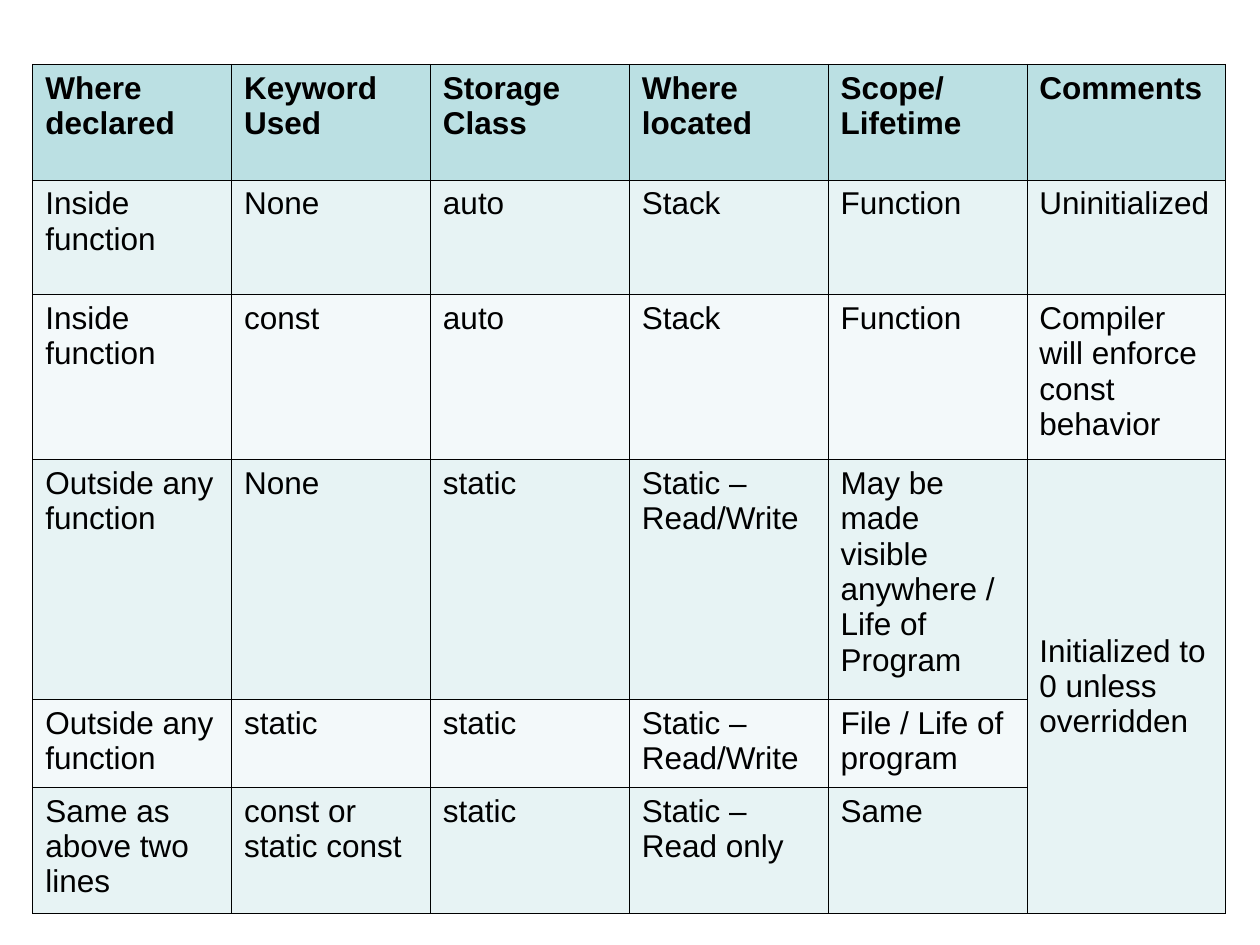
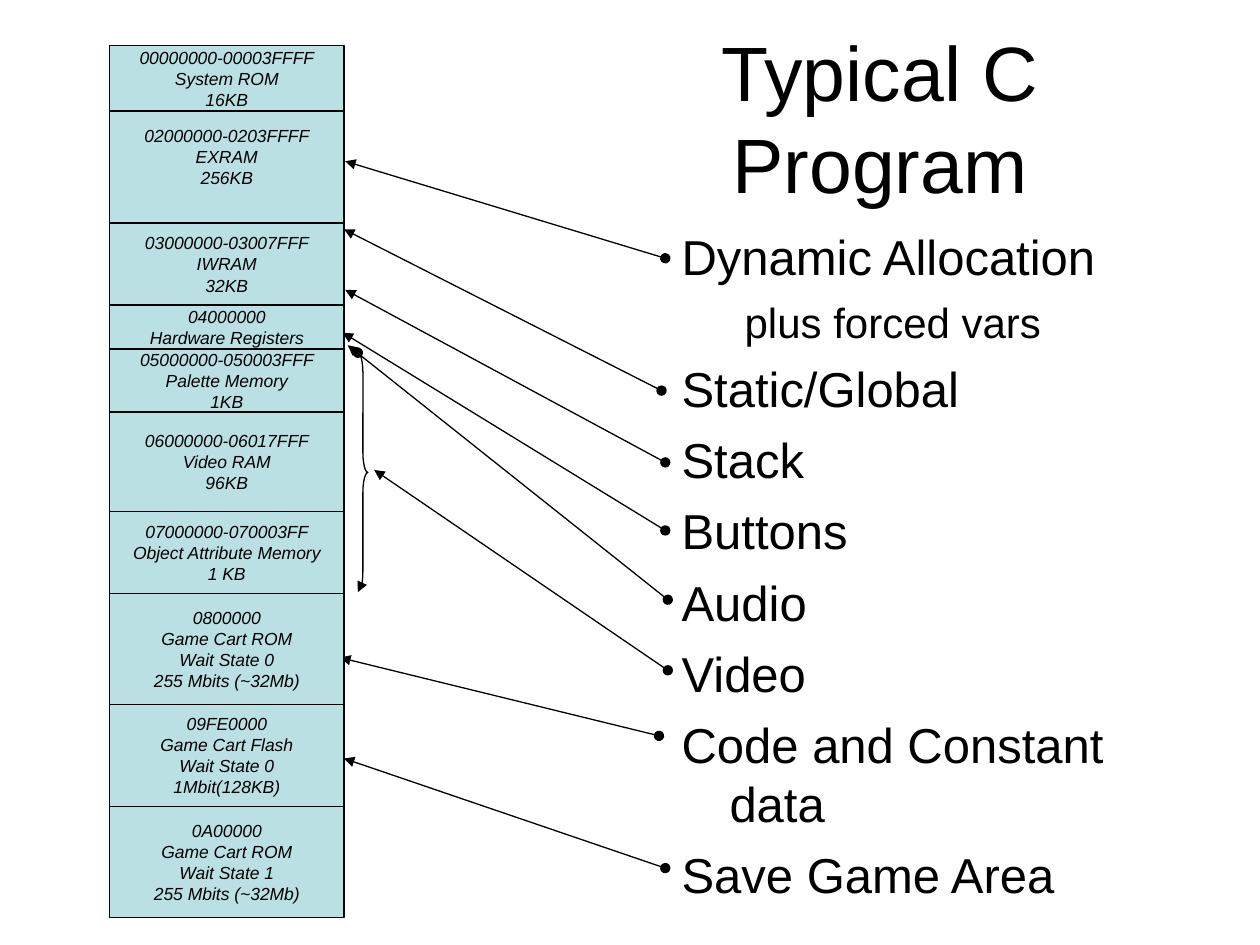
from dataclasses import dataclass

from lxml import etree
from pptx import Presentation
from pptx.dml.color import RGBColor
from pptx.enum.shapes import MSO_CONNECTOR as Connector, MSO_SHAPE as Shape
from pptx.enum.text import MSO_ANCHOR as Anchor, MSO_AUTO_SIZE as AutoSize, PP_ALIGN as Align
from pptx.oxml.ns import qn
from pptx.util import Inches, Pt


@dataclass(frozen=True)
class Theme:
    font: str = "Arial"
    ink: RGBColor = RGBColor(0x00, 0x00, 0x00)
    teal: RGBColor = RGBColor(0xBB, 0xE0, 0xE3)
    band_dark: RGBColor = RGBColor(0xE7, 0xF3, 0xF4)
    band_light: RGBColor = RGBColor(0xF3, 0xF9, 0xFA)
    title_size: int = 44
    item_size: int = 28
    subitem_size: int = 24
    table_size: int = 18
    block_size: int = 10
    line_width: float = 0.75
    border_width: float = 0.45


theme = Theme()


def style_paragraph(paragraph, size, align=Align.LEFT, bold=False, italic=False):
    paragraph.alignment = align
    paragraph.line_spacing = 1.0
    for run in paragraph.runs:
        run.font.name = theme.font
        run.font.size = Pt(size)
        run.font.bold = bold
        run.font.italic = italic
        run.font.color.rgb = theme.ink


def style_arrow(arrow):
    arrow.line.color.rgb = theme.ink
    arrow.line.width = Pt(theme.line_width)
    line_xml = arrow.line._get_or_add_ln()
    etree.SubElement(line_xml, qn("a:headEnd"), type="oval")
    etree.SubElement(line_xml, qn("a:tailEnd"), type="triangle")
    etree.SubElement(arrow._element.spPr, qn("a:effectLst"))


deck = Presentation()
deck.slide_width, deck.slide_height = Inches(10), Inches(7.5)
content_layout, blank_layout = deck.slide_layouts[1], deck.slide_layouts[6]

# Slide 1: storage class table
storage_rows = [
    ["Where declared", "Keyword Used", "Storage Class", "Where located", "Scope/ Lifetime", "Comments"],
    ["Inside function", "None", "auto", "Stack", "Function", "Uninitialized"],
    ["Inside function", "const", "auto", "Stack", "Function", "Compiler will enforce const behavior"],
    ["Outside any function", "None", "static", "Static – Read/Write",
     "May be made visible anywhere /\nLife of Program", "Initialized to 0 unless overridden"],
    ["Outside any function", "static", "static", "Static – Read/Write", "File / Life of program", ""],
    ["Same as above two lines", "const or static const", "static", "Static –Read only", "Same", ""],
]
row_heights = [0.92, 0.91, 1.31, 1.9, 0.7, 1]

storage_slide = deck.slides.add_slide(blank_layout)
storage_table = storage_slide.shapes.add_table(
    len(storage_rows), len(storage_rows[0]),
    Inches(0.26), Inches(0.51), Inches(9.47), Inches(6.74)).table
for row, height in zip(storage_table.rows, row_heights):
    row.height = Inches(height)

for r, texts in enumerate(storage_rows):
    band = theme.teal if r == 0 else theme.band_dark if r % 2 else theme.band_light
    for c, text in enumerate(texts):
        cell = storage_table.cell(r, c)
        cell.fill.solid()
        cell.fill.fore_color.rgb = band
        if text:
            cell.text_frame.text = text
        for paragraph in cell.text_frame.paragraphs:
            style_paragraph(paragraph, theme.table_size, bold=r == 0)
        cell_xml = cell._tc.get_or_add_tcPr()
        for position, side in enumerate(("lnL", "lnR", "lnT", "lnB")):
            border = etree.Element(qn(f"a:{side}"), w=str(Pt(theme.border_width)))
            border_fill = etree.SubElement(border, qn("a:solidFill"))
            etree.SubElement(border_fill, qn("a:srgbClr"), val=str(theme.ink))
            cell_xml.insert(position, border)

# The last comment covers the three static rows
static_comment = storage_table.cell(3, 5)
static_comment.merge(storage_table.cell(5, 5))
static_comment.vertical_anchor = Anchor.MIDDLE

# Slide 2: title
memory_slide = deck.slides.add_slide(content_layout)
title = memory_slide.shapes.title
title.left, title.top, title.width, title.height = map(Inches, (4.47, 0.3, 5.03, 1.25))
title.text_frame.text = "Typical C Program"
title.text_frame.auto_size = AutoSize.NONE
title.text_frame.vertical_anchor = Anchor.MIDDLE
style_paragraph(title.text_frame.paragraphs[0], theme.title_size, Align.CENTER)

# Program parts list: text and level
program_parts = [
    ("Dynamic Allocation", 0), ("plus forced vars", 1), ("Static/Global", 0),
    ("Stack", 0), ("Buttons", 0), ("Audio", 0), ("Video", 0),
    ("Code and Constant data", 0), ("Save Game Area", 0),
]
# Type size, space before, left margin and first-line indent for each level
level_styles = [(theme.item_size, 7, 0.38, -0.38), (theme.subitem_size, 6, 0.81, -0.31)]

parts_list = memory_slide.placeholders[1]
parts_list.left, parts_list.top, parts_list.width, parts_list.height = map(Inches, (5.31, 1.75, 3.97, 5.47))
parts_list.text_frame.text = "\n".join(text for text, level in program_parts)
parts_list.text_frame.auto_size = AutoSize.NONE
for paragraph, (text, level) in zip(parts_list.text_frame.paragraphs, program_parts):
    size, space_before, margin, indent = level_styles[level]
    paragraph.level = level
    style_paragraph(paragraph, size)
    paragraph.space_before = Pt(space_before)
    paragraph_xml = paragraph._p.get_or_add_pPr()
    paragraph_xml.set("marL", str(Inches(margin)))
    paragraph_xml.set("indent", str(Inches(indent)))
    etree.SubElement(paragraph_xml, qn("a:buNone"))

# Arrows from program parts to memory regions
part_arrows = [
    (5.28, 2.05, 2.74, 1.28), (5.25, 3.1, 2.73, 1.82), (5.28, 3.67, 2.74, 2.3),
    (5.28, 4.21, 2.72, 2.64), (5.3, 4.76, 2.76, 2.74), (5.3, 5.32, 2.97, 3.73),
    (5.23, 5.84, 2.7, 5.22), (5.28, 6.89, 2.73, 6.02),
]
for ends in part_arrows:
    style_arrow(memory_slide.shapes.add_connector(Connector.STRAIGHT, *map(Inches, ends)))

# Brace around the video regions
video_brace = memory_slide.shapes.add_shape(
    Shape.RIGHT_BRACE, Inches(2.84), Inches(2.8), Inches(0.08), Inches(1.9))
video_brace.adjustments[0] = 2
video_brace.fill.background()
style_arrow(video_brace)

# Memory map: height and lines of each region, stacked from the top
memory_regions = [
    (0.52, "00000000-00003FFFF\nSystem ROM\n16KB"),
    (0.89, "02000000-0203FFFF\nEXRAM\n256KB"),
    (0.65, "03000000-03007FFF\nIWRAM\n32KB"),
    (0.35, "04000000\nHardware Registers"),
    (0.5, "05000000-050003FFF\nPalette Memory\n1KB"),
    (0.79, "06000000-06017FFF\nVideo RAM\n96KB"),
    (0.65, "07000000-070003FF\nObject Attribute Memory\n1 KB"),
    (0.88, "0800000\nGame Cart ROM\nWait State 0\n255 Mbits (~32Mb)"),
    (0.81, "09FE0000\nGame Cart Flash\nWait State 0\n1Mbit(128KB)"),
    (0.88, "0A00000\nGame Cart ROM\nWait State 1\n255 Mbits (~32Mb)"),
]
memory_map = memory_slide.shapes.add_group_shape()
region_top = 0.36
for height, text in memory_regions:
    region = memory_map.shapes.add_shape(
        Shape.RECTANGLE, Inches(0.87), Inches(region_top), Inches(1.86), Inches(height))
    region.shadow.inherit = False
    region.fill.solid()
    region.fill.fore_color.rgb = theme.teal
    region.line.color.rgb = theme.ink
    region.line.width = Pt(theme.line_width)
    region_text = region.text_frame
    region_text.text = text
    region_text.word_wrap = False
    region_text.vertical_anchor = Anchor.MIDDLE
    if "EXRAM" in text:  # its lines sit above the middle
        region_text.margin_bottom = Inches(0.22)
    for paragraph in region_text.paragraphs:
        style_paragraph(paragraph, theme.block_size, Align.CENTER, italic=True)
    region_top += height

deck.save("out.pptx")
